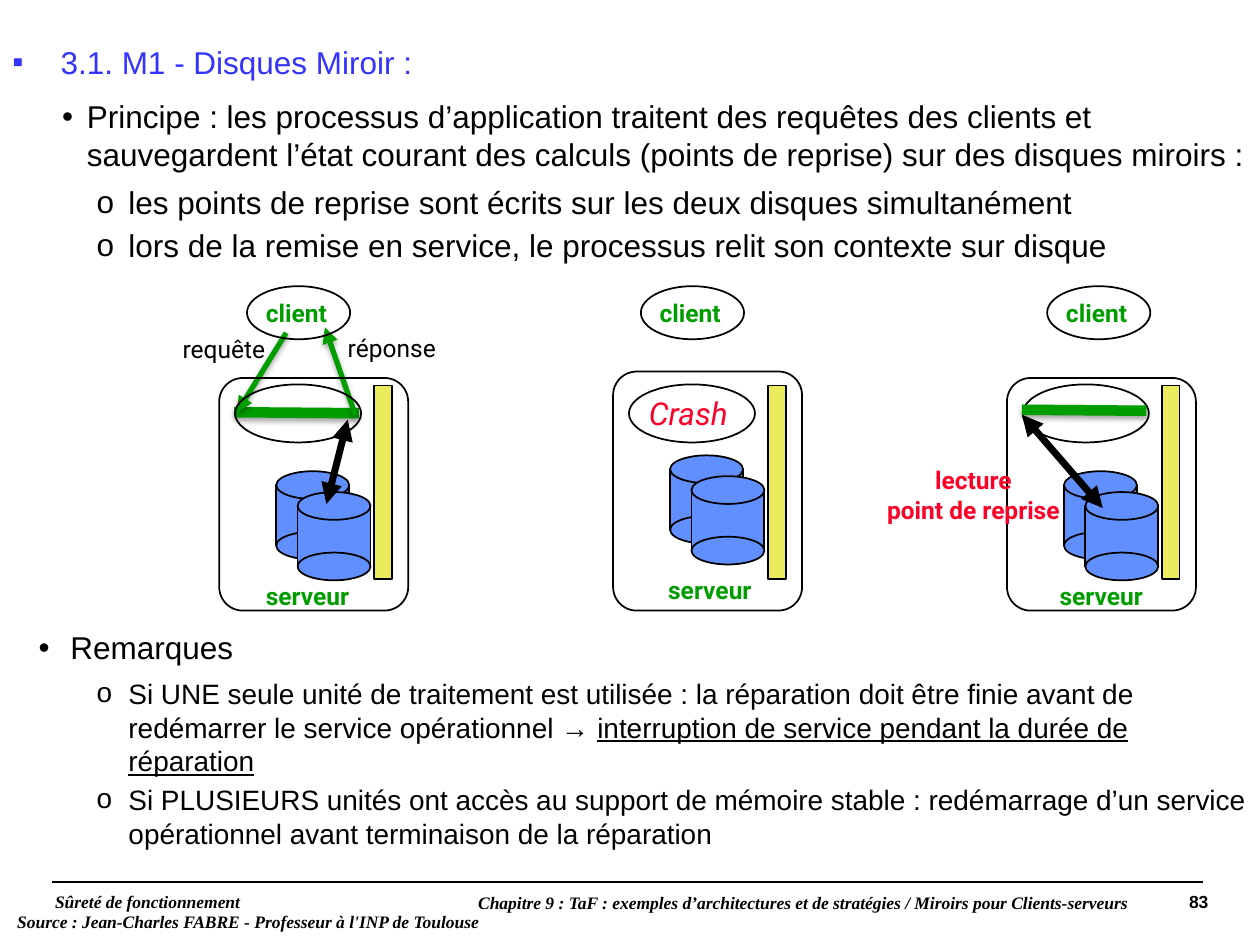
from lxml import etree
from pptx import Presentation
from pptx import util as u
from pptx.dml.color import RGBColor
from pptx.enum import shapes, text
from pptx.oxml.ns import qn

BLACK = RGBColor(0x00, 0x00, 0x00)
BLUE = RGBColor(0x33, 0x33, 0xFF)
GREEN = RGBColor(0x00, 0x9D, 0x00)
RED = RGBColor(0xFC, 0x01, 0x28)
DISK_BLUE = RGBColor(0x61, 0x8F, 0xFD)
YELLOW = RGBColor(0xEA, 0xEC, 0x5E)

HEADING = dict(name="Arial", size=u.Pt(18), color=BLUE, bold=False)
BODY = dict(HEADING, color=BLACK)
DETAIL = dict(BODY, size=u.Pt(16))
LABEL = dict(name="Roboto", size=u.Pt(14), color=BLACK)
GREEN_LABEL = dict(LABEL, color=GREEN, bold=True)
RED_LABEL = dict(GREEN_LABEL, color=RED)
CRASH = dict(LABEL, size=u.Pt(18), color=RED, italic=True)
FOOTER = dict(name="Times New Roman", size=u.Pt(10), color=BLACK, bold=True, italic=True)
NUMBER = dict(FOOTER, name="Arial", italic=False)

SHAPE = shapes.MSO_SHAPE
ALIGN = text.PP_ALIGN


def child(parent, tag, **attributes):
    return etree.SubElement(parent, qn(tag), {key: str(value) for key, value in attributes.items()})


class SlideBuilder:
    """Holds the current slide and the shared outline style."""

    outline = BLACK
    outline_width = 1

    def __init__(self, slide):
        self.slide = slide

    def place(self, shape, left, top, width, height):
        box = dict(left=left, top=top, width=width, height=height)
        for name, value in box.items():
            setattr(shape, name, u.Cm(value))

    def styled_run(self, paragraph, words, style):
        run = paragraph.add_run()
        run.text = words
        for name, value in style.items():
            if name == "color":
                run.font.color.rgb = value
            else:
                setattr(run.font, name, value)

    def frame(self, shape, wrap, sizing, inset=(0.25, 0.13)):
        across, down = (u.Cm(value) for value in inset)
        values = dict(word_wrap=wrap, auto_size=sizing, vertical_anchor=text.MSO_ANCHOR.TOP,
                      margin_left=across, margin_right=across, margin_top=down, margin_bottom=down)
        for name, value in values.items():
            setattr(shape.text_frame, name, value)
        return shape.text_frame

    def bullet_list(self, placeholder, box, items):
        """Each item is (runs, bullet, margin in cm, hanging in cm, points before, points after)."""
        self.place(placeholder, *box)
        frame = self.frame(placeholder, True, text.MSO_AUTO_SIZE.NONE)
        for index, (runs, bullet, margin, hanging, before, after) in enumerate(items):
            paragraph = frame.add_paragraph() if index else frame.paragraphs[0]
            values = dict(alignment=ALIGN.LEFT, line_spacing=1.0,
                          space_before=u.Pt(before), space_after=u.Pt(after))
            for name, value in values.items():
                setattr(paragraph, name, value)
            for words, style in runs:
                self.styled_run(paragraph, words, style)
            properties = paragraph._p.get_or_add_pPr()
            properties.set("marL", str(u.Cm(margin)))
            properties.set("indent", str(-u.Cm(hanging)))
            child(child(properties, "a:buClr"), "a:srgbClr", val=runs[0][1]["color"])
            child(properties, "a:buFont", typeface="Arial")
            child(properties, "a:buChar", char=bullet)

    def label(self, lines, left, top, width, height, style, align=ALIGN.LEFT, inset=(0.25, 0.13)):
        shape = self.slide.shapes.add_textbox(*map(u.Cm, (left, top, width, height)))
        frame = self.frame(shape, False, text.MSO_AUTO_SIZE.SHAPE_TO_FIT_TEXT, inset)
        for index, words in enumerate(lines.split("\n")):
            paragraph = frame.add_paragraph() if index else frame.paragraphs[0]
            paragraph.alignment = align
            self.styled_run(paragraph, words, style)
        return shape

    def shape(self, kind, left, top, width, height, fill=None, parent=None):
        shape = (parent or self.slide).shapes.add_shape(kind, *map(u.Cm, (left, top, width, height)))
        shape.shadow.inherit = False
        if fill is None:
            shape.fill.background()
        else:
            shape.fill.solid()
            shape.fill.fore_color.rgb = fill
        shape.line.color.rgb = self.outline
        shape.line.width = u.Pt(self.outline_width)
        return shape

    def disk(self, left, top, width=1.47, lid=0.56, depth=1.22):
        group = self.slide.shapes.add_group_shape()
        self.shape(SHAPE.RECTANGLE, left, top + lid / 2, width, depth, DISK_BLUE, group)
        for lid_top in (top + depth, top):
            self.shape(SHAPE.OVAL, left, lid_top, width, lid, DISK_BLUE, group)

    def line(self, start, end, color=BLACK, width=1.0, heads=(), shadow=False):
        """heads names the ends that carry an arrowhead: headEnd is the start, tailEnd the end."""
        line = self.slide.shapes.add_connector(
            shapes.MSO_CONNECTOR.STRAIGHT, *map(u.Cm, (*start, *end)))
        line.line.color.rgb = color
        line.line.width = u.Pt(width)
        for head in heads:
            child(line.line._get_or_add_ln(), f"a:{head}", type="triangle")
        effects = child(line._element.spPr, "a:effectLst")
        if shadow:
            outer = child(effects, "a:outerShdw", blurRad=u.Pt(3.1), dist=u.Pt(1.8),
                          dir=90 * 60000, rotWithShape=0)
            child(child(outer, "a:srgbClr", val=BLACK), "a:alpha", val=35000)

    def server(self, left, top, client_shift, name_shift, name_top):
        client = left + client_shift
        self.shape(SHAPE.OVAL, client, 5.77, 2.08, 1.07)
        self.label("client", client + 0.13, 5.87, 1.8, 0.86, GREEN_LABEL)
        self.shape(SHAPE.OVAL, left + 0.32, 7.75, 2.54, 1.17)
        box = self.shape(SHAPE.ROUNDED_RECTANGLE, left, top, 3.81, 12.31 - top)
        box.adjustments[0] = 0.125
        self.shape(SHAPE.RECTANGLE, left + 3.12, 7.77, 0.36, 3.91, YELLOW)
        self.label("serveur", left + name_shift, name_top, 2.31, 0.84, GREEN_LABEL)

    def footer(self):
        self.line((1.04, 17.78), (24.26, 17.78))
        shape = self.label("Sûreté de fonctionnement", 0.86, 17.75, 24.16, 0.79, FOOTER)
        shape.text_frame.word_wrap = True
        paragraph = shape.text_frame.paragraphs[0]
        paragraph.line_spacing = 0.9
        self.styled_run(paragraph, "\t", dict(NUMBER, size=u.Pt(14)))
        self.styled_run(paragraph, "83", NUMBER)
        tabs = child(paragraph._p.get_or_add_pPr(), "a:tabLst")
        child(tabs, "a:tab", pos=u.Cm(22.86), algn="l")
        self.label("Source : Jean-Charles FABRE - Professeur à l'INP de Toulouse",
                   0.13, 18.27, 9.62, 0.6, FOOTER, ALIGN.RIGHT, (0.1, 0.1))
        self.label("Chapitre 9 : TaF : exemples d’architectures et de stratégies"
                   " / Miroirs pour Clients-serveurs",
                   9.32, 17.88, 13.51, 0.64, FOOTER, ALIGN.RIGHT, (0.1, 0.1))


def main():
    presentation = Presentation()
    presentation.slide_width = u.Cm(25.4)
    presentation.slide_height = u.Cm(19.05)
    slide = presentation.slides.add_slide(presentation.slide_layouts[1])
    builder = SlideBuilder(slide)

    builder.bullet_list(slide.shapes.title, (0, 0.74, 25.4, 1.0), [
        ([("3.1. M1 - Disques Miroir :", HEADING)], "▪", 0.97, 0.97, 0, 0)])
    sub_item = ("o", 2.34, 0.64, 3, 0)
    builder.bullet_list(slide.placeholders[1], (0, 1.83, 25.4, 15.77), [
        ([("Principe : les processus d’application traitent des requêtes des clients et "
           "sauvegardent l’état courant des calculs (points de reprise) sur des disques "
           "miroirs :", BODY)], "•", 1.5, 0.5, 0, 3),
        ([("les points de reprise sont écrits sur les deux disques simultanément", BODY)], *sub_item),
        ([("lors de la remise en service, le processus relit son contexte sur disque", BODY)],
         *sub_item),
        ([("Remarques", BODY)], "•", 1.17, 0.64, 208, 3),
        ([("Si UNE seule unité de traitement est utilisée : la réparation doit être finie avant "
           "de redémarrer le service opérationnel → ", DETAIL),
          ("interruption de service pendant la durée de réparation",
           dict(DETAIL, underline=True))], *sub_item),
        ([("Si PLUSIEURS unités ont accès au support de mémoire stable : redémarrage d’un "
           "service opérationnel avant terminaison de la réparation", DETAIL)], *sub_item),
    ])

    lefts = [4.42 + 7.94 * step for step in range(3)]
    for left, disk_top in zip(lefts, (9.5, 9.18, 9.5)):
        for step in range(2):
            builder.disk(left + 1.15 + 0.43 * step, disk_top + 0.42 * step)

    both = ("headEnd", "tailEnd")
    green = dict(color=GREEN, width=3, shadow=True)
    thick_green = dict(green, width=6)
    builder.line((7.24, 8.33), (4.72, 8.31), **thick_green)
    builder.line((5.77, 6.71), (4.78, 8.31), heads=("tailEnd",), **green)
    builder.line((6.55, 6.6), (7.16, 8.36), heads=("headEnd",), **green)
    builder.line((7.01, 8.46), (6.58, 10.16), width=4, heads=both)
    builder.line((20.6, 8.36), (22.23, 10.24), width=4, heads=both)

    variants = [(7.62, 0.56, 0.69, 11.58), (7.49, 0.56, 0.86, 11.46), (7.62, 0.81, 0.81, 11.58)]
    for left, variant in zip(lefts, variants):
        builder.server(left, *variant)
    builder.line((23.11, 8.28), (20.6, 8.26), **thick_green)

    builder.label("requête", 3.43, 6.6, 2.18, 0.84, LABEL)
    builder.label("réponse", 6.76, 6.58, 2.31, 0.84, LABEL)
    builder.label("Crash", 12.83, 7.82, 2.18, 1.02, CRASH)
    builder.label("lecture\npoint de reprise", 17.53, 9.25, 4.19, 1.42, RED_LABEL, ALIGN.CENTER)
    builder.footer()
    presentation.save("out.pptx")


if __name__ == "__main__":
    main()
